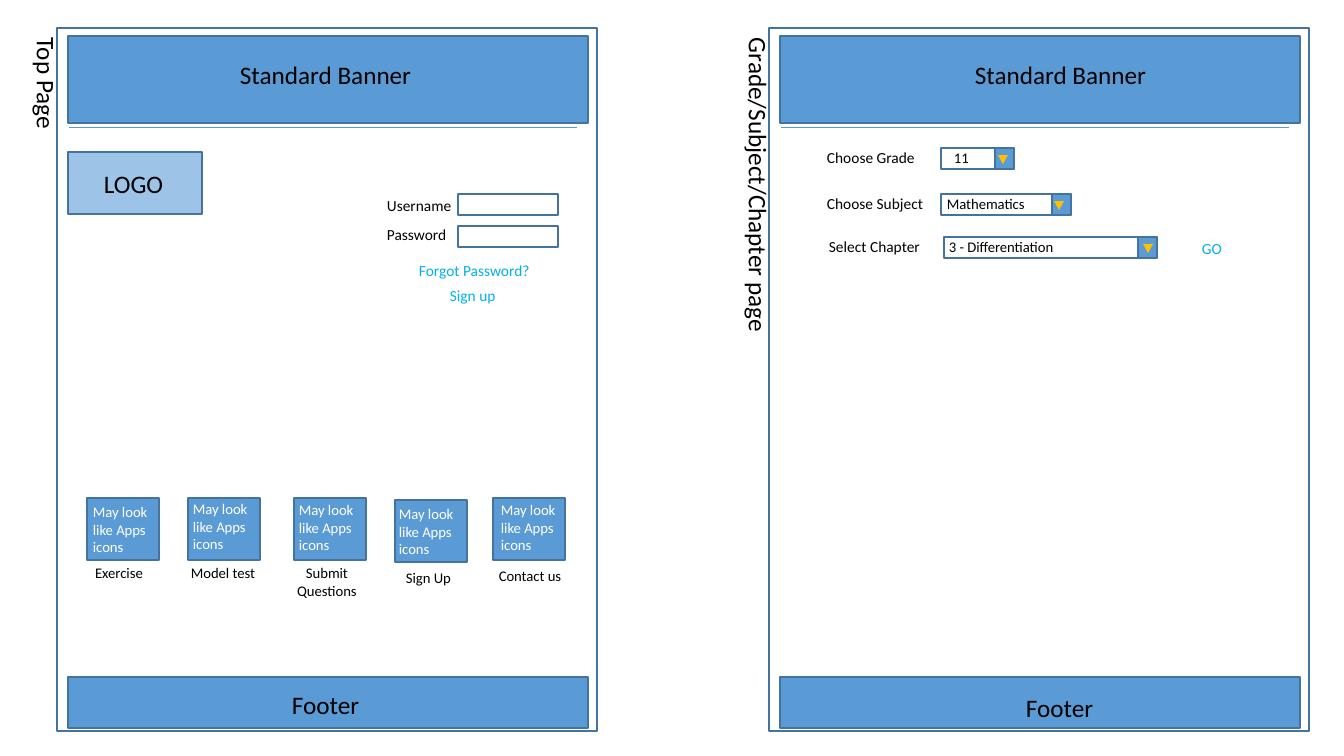
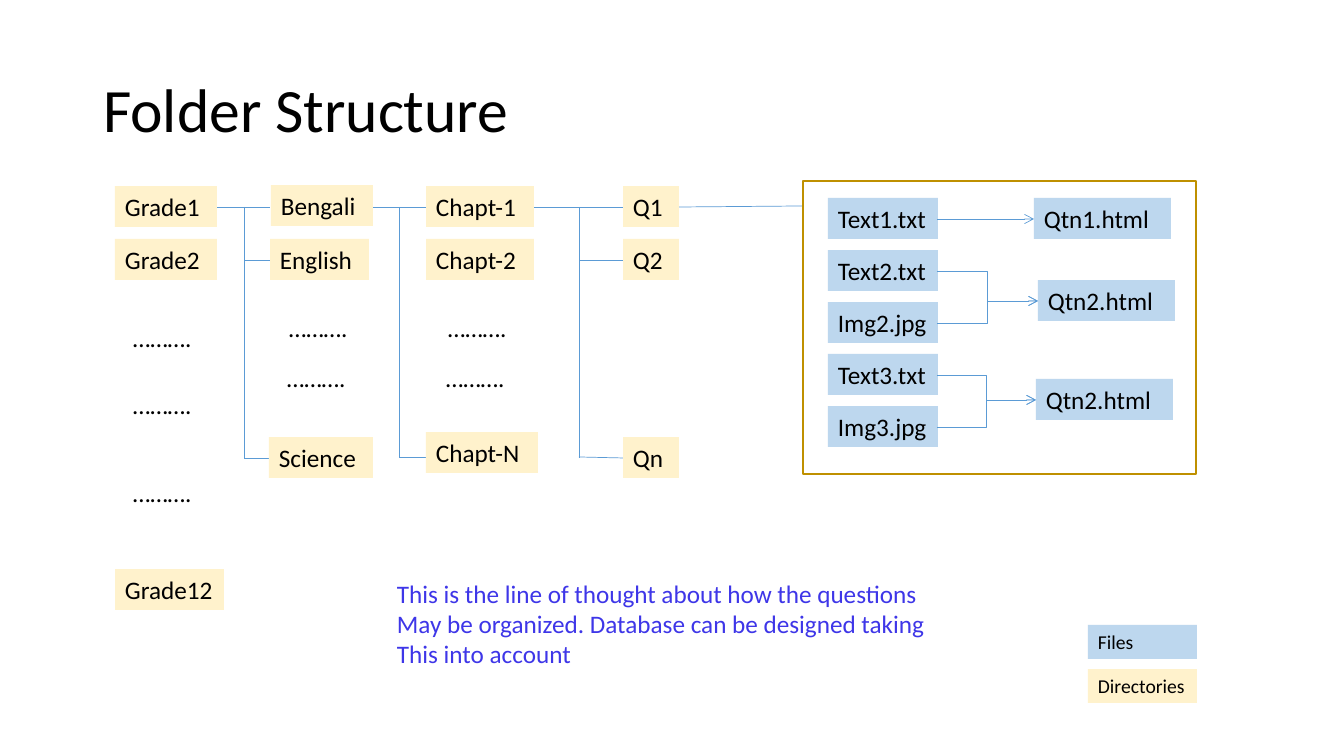
from pptx import Presentation, util as u
from pptx.dml.color import RGBColor
from pptx.enum import shapes, text
from pptx.oxml import ns, xmlchemy

SCALE = 914400 / 100.8
FONT = "Calibri"
BLACK, WHITE, LINK = "000000", "FFFFFF", "00B0F0"
BLUE, OUTLINE, LOGO = "5B9BD5", "43739E", "9DC3E6"
DIRECTORY, FILE, GOLD = "FFF2CC", "BDD7EE", "BF9000"
ARROW, NOTE = "FFC000", "3E36E8"
RECTANGLE = shapes.MSO_SHAPE.RECTANGLE
TRIANGLE = shapes.MSO_SHAPE.ISOSCELES_TRIANGLE
STRAIGHT, ELBOW = shapes.MSO_CONNECTOR.STRAIGHT, shapes.MSO_CONNECTOR.ELBOW
rgb = RGBColor.from_string


def box(slide, place, words="", size=18, color=BLACK, fill=None, line=None,
        kind=RECTANGLE, align=text.PP_ALIGN.LEFT):
    place = [round(value * SCALE) for value in place]
    if words:
        shape = slide.shapes.add_textbox(*place)
        frame = shape.text_frame
        frame.text = words
        frame.word_wrap = fill is not None
        if fill:
            frame.margin_right = 0
        else:
            frame.auto_size = text.MSO_AUTO_SIZE.SHAPE_TO_FIT_TEXT
        for paragraph in frame.paragraphs:
            paragraph.alignment = align
            paragraph.font.name = FONT
            paragraph.font.size = u.Pt(size)
            paragraph.font.color.rgb = rgb(color)
    else:
        shape = slide.shapes.add_shape(kind, *place)
        shape.shadow.inherit = False
    if fill:
        shape.fill.solid()
        shape.fill.fore_color.rgb = rgb(fill)
    else:
        shape.fill.background()
    if line:
        shape.line.color.rgb = rgb(line)
        shape.line.width = u.Pt(1)
    else:
        shape.line.fill.background()
    return shape


def link(slide, ends, kind=STRAIGHT, arrow=False):
    connector = slide.shapes.add_connector(kind, *[round(value * SCALE) for value in ends])
    connector.line.color.rgb = rgb(BLUE)
    connector.line.width = u.Pt(0.5)
    properties = connector._element.spPr
    if arrow:
        tail = xmlchemy.OxmlElement("a:tailEnd")
        tail.set("type", "arrow")
        properties.find(ns.qn("a:ln")).append(tail)
    properties.append(xmlchemy.OxmlElement("a:effectLst"))


presentation = Presentation()
presentation.slide_width = round(1344 * SCALE)
presentation.slide_height = round(756 * SCALE)

pages = presentation.slides.add_slide(presentation.slide_layouts[6])

for left, name, name_height, banner_left, footer_left, footer_top in [
    (57, "Top Page", 102, 230, 282, 684),
    (769, "Grade/Subject/Chapter page", 307, 965, 1016, 687),
]:
    box(pages, (left, 28, 540, 703), line=OUTLINE)
    label = box(pages, (left - 40, 28, 50, name_height), name)
    label.text_frame._txBody.bodyPr.set("vert", "eaVert")
    link(pages, (left + 12, 127, left + 520, 127))
    box(pages, (left + 11, 36, 520, 87), fill=BLUE, line=OUTLINE)
    box(pages, (banner_left, 54, 194, 40), "Standard Banner")
    box(pages, (left + 11, 677, 520, 51), fill=BLUE, line=OUTLINE)
    box(pages, (footer_left, footer_top, 89, 40), "Footer")

box(pages, (68, 152, 134, 62), fill=LOGO, line=OUTLINE)
box(pages, (94, 163, 81, 40), "LOGO")

for words, width, label_top, field_top in [("Username", 86, 191, 194), ("Password", 81, 220, 226)]:
    box(pages, (377, label_top, width, 29), words, 11)
    box(pages, (458, field_top, 100, 21), line=OUTLINE)
for place, words in [
    ((409, 256, 133, 29), "Forgot Password?"),
    ((440, 281, 67, 29), "Sign up"),
    ((1192, 234, 40, 29), "GO"),
]:
    box(pages, place, words, 11, LINK)

for icon_left, icon_top, hint_left, hint_top, name, name_left, name_top, name_width in [
    (87, 498, 83, 498, "Exercise", 84, 559, 70),
    (188, 498, 183, 495, "Model test", 180, 559, 86),
    (294, 498, 289, 496, "Submit\nQuestions", 286, 559, 82),
    (395, 500, 389, 500, "Sign Up", 395, 564, 67),
    (493, 498, 491, 496, "Contact us", 488, 562, 84),
]:
    box(pages, (icon_left, icon_top, 72, 62), fill=BLUE, line=OUTLINE)
    box(pages, (hint_left, hint_top, 75, 64), "May look\nlike Apps\nicons", 10.5, WHITE)
    box(pages, (name_left, name_top, name_width, 28), name, 10.5, align=text.PP_ALIGN.CENTER)

for prompt, prompt_left, prompt_width, left, top, width, arrow_left, choice, choice_left, choice_width in [
    ("Choose Grade", 817, 109, 941, 148, 73, 998, "11", 944, 36),
    ("Choose Subject", 817, 117, 941, 194, 130, 1054, "Mathematics", 937, 99),
    ("Select Chapter", 819, 112, 944, 237, 213, 1143, "3 - Differentiation", 939, 127),
]:
    box(pages, (prompt_left, top - 5, prompt_width, 29), prompt, 11)
    box(pages, (left, top, width, 21), line=OUTLINE)
    box(pages, (left + width - 19, top, 19, 21), fill=BLUE, line=OUTLINE)
    box(pages, (arrow_left, top + 7, 10, 9), fill=ARROW, kind=TRIANGLE).rotation = 180
    box(pages, (choice_left, top - 4, choice_width, 28), choice, 10.5)

folders = presentation.slides.add_slide(presentation.slide_layouts[5])
title = folders.shapes.title
title.left, title.top, title.width, title.height = [
    round(value * SCALE) for value in (93, 40, 1159, 146)]
title.text_frame.text = "Folder Structure"
title.text_frame.vertical_anchor = text.MSO_ANCHOR.MIDDLE
title.text_frame.auto_size = text.MSO_AUTO_SIZE.NONE
heading = title.text_frame.paragraphs[0]
heading.alignment = text.PP_ALIGN.LEFT
heading.line_spacing = 0.9
heading.font.name = FONT
heading.font.size = u.Pt(44)
heading.font.color.rgb = rgb(BLACK)

for ends in [
    (216, 207, 270, 207), (244, 207, 244, 458), (270, 260, 244, 260), (269, 458, 244, 458),
    (372, 207, 426, 207), (399, 207, 399, 458), (426, 457, 400, 457),
    (534, 207, 623, 207), (579, 207, 579, 458), (623, 260, 579, 260), (623, 458, 579, 457),
    (679, 207, 803, 206),
]:
    link(folders, ends)

for name, left, top, width in [
    ("Grade1", 115, 186, 102), ("Grade2", 115, 239, 102), ("Grade12", 115, 569, 109),
    ("Bengali", 271, 185, 102), ("English", 270, 239, 99), ("Science", 269, 437, 104),
    ("Chapt-1", 426, 186, 108), ("Chapt-2", 426, 239, 108), ("Chapt-N", 426, 432, 112),
    ("Q1", 623, 186, 56), ("Q2", 623, 239, 56), ("Qn", 623, 437, 56),
]:
    box(folders, (left, top, width, 41), name, fill=DIRECTORY)

for left, top in [(123, 317), (123, 384), (123, 472), (279, 307), (277, 357), (438, 307), (436, 357)]:
    box(folders, (left, top, 79, 40), "……….")

box(folders, (803, 181, 393, 293), fill=WHITE, line=GOLD)
for row, name in enumerate(["Text1.txt", "Text2.txt", "Img2.jpg", "Text3.txt", "Img3.jpg"]):
    box(folders, (828, 198 + 52 * row, 110, 41), name, fill=FILE)
for name, left, top, sources in [
    ("Qtn1.html", 1034, 198, [0]),
    ("Qtn2.html", 1038, 280, [1, 2]),
    ("Qtn2.html", 1036, 379, [3, 4]),
]:
    box(folders, (left, top, 137, 41), name, fill=FILE)
    for row in sources:
        kind = ELBOW if len(sources) > 1 else STRAIGHT
        link(folders, (937, 219 + 52 * row, left, top + 21), kind, arrow=True)

box(folders, (387, 573, 554, 102),
    "This is the line of thought about how the questions\n"
    "May be organized. Database can be designed taking\n"
    "This into account", color=NOTE)
for name, top, fill in [("Files", 625, FILE), ("Directories", 669, DIRECTORY)]:
    box(folders, (1088, top, 109, 34), name, 14, fill=fill)

presentation.save("out.pptx")
